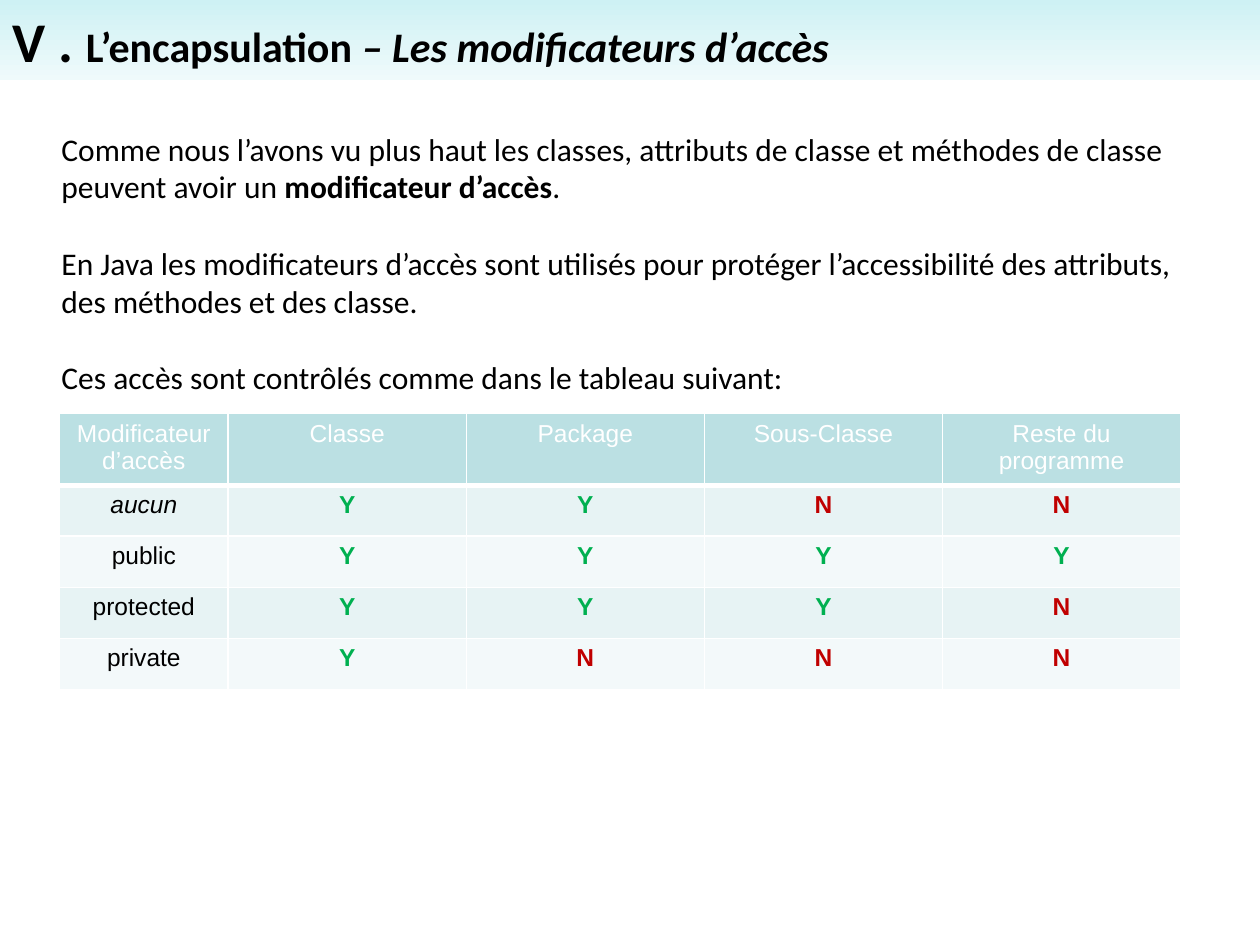
from lxml import etree
from pptx import Presentation
from pptx import util as u
from pptx.dml.color import RGBColor
from pptx.enum import shapes, text
from pptx.oxml import ns

COLORS = {
    "black": "000000", "white": "FFFFFF",
    "banner_top": "CEF1F4", "banner_bottom": "EFFAFB",
    "header": "BBE0E3", "band_dark": "E7F3F4", "band_light": "F3F9FA",
    "Y": "00B050", "N": "C00000",
}
HEADINGS = ["Modificateur d’accès", "Classe", "Package", "Sous-Classe",
            "Reste du programme"]
ACCESS = {"aucun": "YYNN", "public": "YYYY", "protected": "YYYN",
          "private": "YNNN"}
INTRODUCTION = [
    [("Comme nous l’avons vu plus haut les classes, attributs de classe et "
      "méthodes de classe peuvent avoir un ", False),
     ("modificateur d’accès", True), (".", False)],
    [("En Java les modificateurs d’accès sont utilisés pour protéger "
      "l’accessibilité des attributs, des méthodes et des classe.", False)],
    [("Ces accès sont contrôlés comme dans le tableau suivant:", False)],
]


def rgb(name):
    return RGBColor.from_string(COLORS[name])


def add_run(paragraph, content, size, font="Calibri", color="black",
            bold=False, italic=False):
    run = paragraph.add_run()
    run.text = content
    run.font.size = u.Pt(size)
    run.font.name = font
    run.font.color.rgb = rgb(color)
    run.font.bold = bold
    run.font.italic = italic


def add_banner(slide, left, top, width, height):
    shape = slide.shapes.add_shape(shapes.MSO_SHAPE.RECTANGLE,
                                   left, top, width, height)
    shape.shadow.inherit = False
    shape.line.fill.background()
    shape.fill.gradient()
    shape.fill.gradient_angle = 270
    for stop, name in zip(shape.fill.gradient_stops,
                          ("banner_top", "banner_bottom")):
        stop.color.rgb = rgb(name)
    frame = shape.text_frame
    frame.word_wrap = True
    frame.vertical_anchor = text.MSO_ANCHOR.TOP
    paragraph = frame.paragraphs[0]
    paragraph.alignment = text.PP_ALIGN.LEFT
    add_run(paragraph, "V . ", 32, bold=True)
    add_run(paragraph, "L’encapsulation ", 24, bold=True)
    add_run(paragraph, "– Les modificateurs d’accès", 24, bold=True, italic=True)


def add_introduction(slide, left, top, width, height):
    frame = slide.shapes.add_textbox(left, top, width, height).text_frame
    frame.word_wrap = True
    for index, runs in enumerate(INTRODUCTION):
        if index:
            paragraph = frame.add_paragraph()
            paragraph.space_before = u.Pt(22)
        else:
            paragraph = frame.paragraphs[0]
        for content, bold in runs:
            add_run(paragraph, content, 18, bold=bold)


def set_borders(cell, top, bottom):
    """Draw white borders; top and bottom widths are in points."""
    properties = cell._tc.get_or_add_tcPr()
    for side, width in (("L", 1), ("R", 1), ("T", top), ("B", bottom)):
        line = etree.SubElement(properties, ns.qn(f"a:ln{side}"),
                                w=str(u.Pt(width)))
        fill = etree.SubElement(line, ns.qn("a:solidFill"))
        etree.SubElement(fill, ns.qn("a:srgbClr"), val=COLORS["white"])


def fill_cell(cell, content, background, top=1, bottom=1, **style):
    set_borders(cell, top, bottom)
    cell.fill.solid()
    cell.fill.fore_color.rgb = rgb(background)
    paragraph = cell.text_frame.paragraphs[0]
    paragraph.alignment = text.PP_ALIGN.CENTER
    add_run(paragraph, content, 14, font="Arial", **style)


def add_access_table(slide, left, top, width, height):
    table = slide.shapes.add_table(len(ACCESS) + 1, len(HEADINGS),
                                   left, top, width, height).table
    # The first column and the heading row have their own sizes
    label_width, heading_height = u.Cm(3.4), u.Cm(1.44)
    for index, column in enumerate(table.columns):
        column.width = (label_width if index == 0 else
                        (width - label_width) // (len(HEADINGS) - 1))
    for index, row in enumerate(table.rows):
        row.height = (heading_height if index == 0 else
                      (height - heading_height) // len(ACCESS))

    # Headings
    for column, heading in enumerate(HEADINGS):
        fill_cell(table.cell(0, column), heading, "header", bottom=3,
                  color="white")

    # One row per modifier
    for row, (modifier, rights) in enumerate(ACCESS.items(), start=1):
        band = "band_dark" if row % 2 else "band_light"
        top_width = 3 if row == 1 else 1
        fill_cell(table.cell(row, 0), modifier, band, top=top_width,
                  italic=modifier == "aucun")
        for column, right in enumerate(rights, start=1):
            fill_cell(table.cell(row, column), right, band, top=top_width,
                      color=right, bold=True)


def main():
    presentation = Presentation()
    presentation.slide_width = u.Cm(25.4)
    presentation.slide_height = u.Cm(19.05)
    slide = presentation.slides.add_slide(presentation.slide_layouts[6])
    add_banner(slide, 0, 0, presentation.slide_width, u.Cm(1.62))
    add_introduction(slide, u.Cm(0.99), u.Cm(2.49), u.Cm(23.72), u.Cm(5.64))
    add_access_table(slide, u.Cm(1.2), u.Cm(8.34), u.Cm(22.6), u.Cm(5.56))
    presentation.save("out.pptx")


if __name__ == "__main__":
    main()
